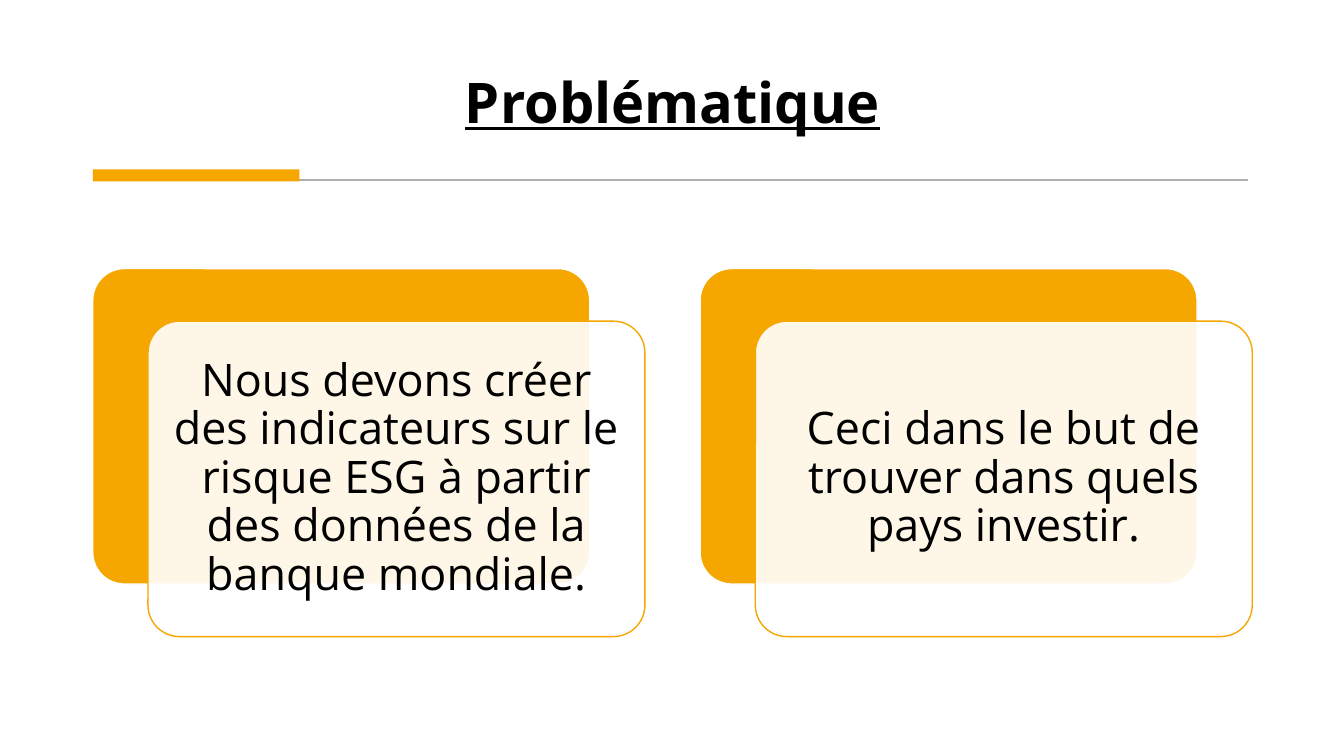
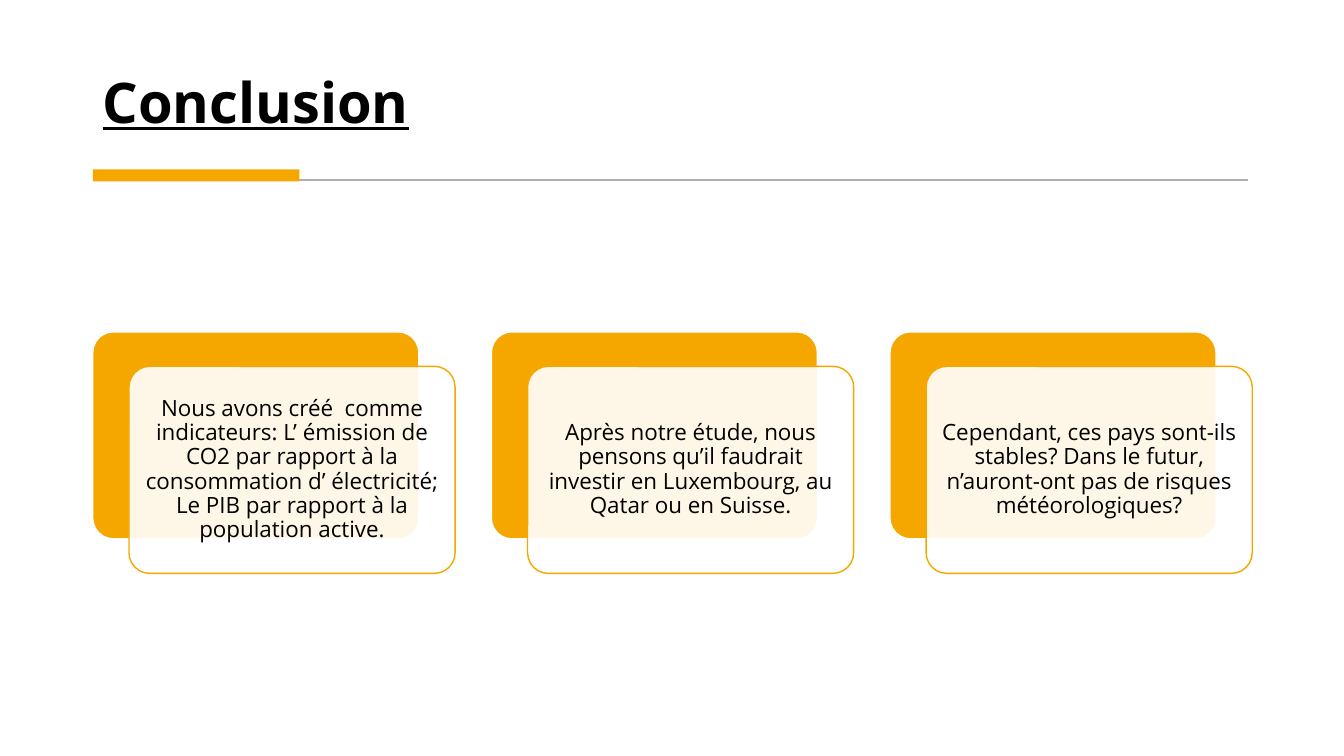
"""Build the problem statement and conclusion slides with layered cards."""
from dataclasses import dataclass

import lxml.etree
import pptx
import pptx.dml.color
import pptx.enum.shapes
import pptx.enum.text
import pptx.oxml.ns
import pptx.util

Inches = pptx.util.Inches
Pt = pptx.util.Pt
RGBColor = pptx.dml.color.RGBColor
Shape = pptx.enum.shapes.MSO_SHAPE
Align = pptx.enum.text.PP_ALIGN
Anchor = pptx.enum.text.MSO_ANCHOR
qn = pptx.oxml.ns.qn

WHITE = RGBColor(0xFF, 0xFF, 0xFF)
BLACK = RGBColor(0x00, 0x00, 0x00)
AMBER = RGBColor(0xF5, 0xA7, 0x00)
GRAY = RGBColor(0xAE, 0xAE, 0xAE)
FONT = "Open Sans"

LEFT = 0.92
CONTENT_WIDTH = 11.5
CARDS_MIDDLE = 4.49
CARD_RATIO = 0.635
SHIFT_X = 1 / 9
SHIFT_Y = 1 / 6
GAP = 2 / 9


@dataclass(frozen=True)
class Topic:
    title: str
    title_align: Align
    statements: tuple[str, ...]
    size: int
    inset: float


TOPICS = (
    Topic(
        "Problématique",
        Align.CENTER,
        (
            "Nous devons créer des indicateurs sur le risque ESG à partir des données de la banque mondiale.",
            "Ceci dans le but de trouver dans quels pays investir.",
        ),
        size=32,
        inset=0.13,
    ),
    Topic(
        "Conclusion",
        Align.LEFT,
        (
            "Nous avons créé  comme indicateurs: L’ émission de CO2 par rapport à la "
            "consommation d’ électricité; Le PIB par rapport à la population active.",
            "Après notre étude, nous pensons qu’il faudrait investir en Luxembourg, au Qatar ou en Suisse.",
            "Cependant, ces pays sont-ils stables? Dans le futur, n’auront-ont pas de risques météorologiques?",
        ),
        size=16,
        inset=0.07,
    ),
)


def write(shape, text: str, *, size: int, align: Align = Align.CENTER,
          anchor: Anchor = Anchor.MIDDLE, inset: float | None = None,
          bold: bool = False, underline: bool = False) -> None:
    """Put one formatted paragraph into a shape."""
    frame = shape.text_frame
    frame.word_wrap = True
    frame.vertical_anchor = anchor
    if inset is not None:
        frame.margin_left = frame.margin_right = Inches(inset)
        frame.margin_top = frame.margin_bottom = Inches(inset)
    paragraph = frame.paragraphs[0]
    paragraph.alignment = align
    paragraph.line_spacing = 0.9
    run = paragraph.add_run()
    run.text = text
    run.font.name = FONT
    run.font.size = Pt(size)
    run.font.bold = bold
    run.font.underline = underline
    run.font.color.rgb = BLACK


def add_box(slide, kind: Shape, left: float, top: float, width: float, height: float,
            fill: RGBColor, line: RGBColor | None = None, opacity: int = 100):
    """Draw a filled shape with an optional outline and opacity in percent."""
    box = slide.shapes.add_shape(kind, Inches(left), Inches(top), Inches(width), Inches(height))
    box.shadow.inherit = False
    box.fill.solid()
    box.fill.fore_color.rgb = fill
    if opacity < 100:
        color = box.fill._xPr.find(qn("a:solidFill")).find(qn("a:srgbClr"))
        lxml.etree.SubElement(color, qn("a:alpha"), val=str(opacity * 1000))
    if line is None:
        box.line.fill.background()
    else:
        box.line.color.rgb = line
        box.line.width = Pt(1)
    return box


def add_header(slide, topic: Topic) -> None:
    """Draw the underlined title, the gray rule and the amber accent."""
    title = slide.shapes.add_textbox(Inches(LEFT), Inches(0.28), Inches(CONTENT_WIDTH), Inches(1.11))
    write(title, topic.title, size=40, align=topic.title_align, anchor=Anchor.BOTTOM,
          bold=True, underline=True)
    rule = slide.shapes.add_connector(pptx.enum.shapes.MSO_CONNECTOR.STRAIGHT,
                                      Inches(0.95), Inches(1.79), Inches(12.38), Inches(1.79))
    rule.line.color.rgb = GRAY
    rule.line.width = Pt(1.5)
    lxml.etree.SubElement(rule._element.spPr, qn("a:effectLst"))
    add_box(slide, Shape.RECTANGLE, LEFT, 1.68, 2.05, 0.12, AMBER)


def add_cards(slide, topic: Topic) -> None:
    """Spread layered cards evenly over the content width."""
    count = len(topic.statements)
    width = CONTENT_WIDTH / (count * (1 + GAP) - GAP + SHIFT_X)
    height = width * CARD_RATIO
    top = CARDS_MIDDLE - height * (1 + SHIFT_Y) / 2
    for index, statement in enumerate(topic.statements):
        left = LEFT + index * width * (1 + GAP)
        back = add_box(slide, Shape.ROUNDED_RECTANGLE, left, top, width, height, AMBER, WHITE)
        front = add_box(slide, Shape.ROUNDED_RECTANGLE, left + width * SHIFT_X,
                        top + height * SHIFT_Y, width, height, WHITE, AMBER, opacity=90)
        for card in (back, front):
            card.adjustments[0] = 0.1
        write(front, statement, size=topic.size, inset=topic.inset)


def main() -> None:
    """Build and save the presentation."""
    deck = pptx.Presentation()
    deck.slide_width = Inches(13.33)
    deck.slide_height = Inches(7.5)
    for topic in TOPICS:
        slide = deck.slides.add_slide(deck.slide_layouts[6])
        add_header(slide, topic)
        add_cards(slide, topic)
    deck.save("out.pptx")


if __name__ == "__main__":
    main()
